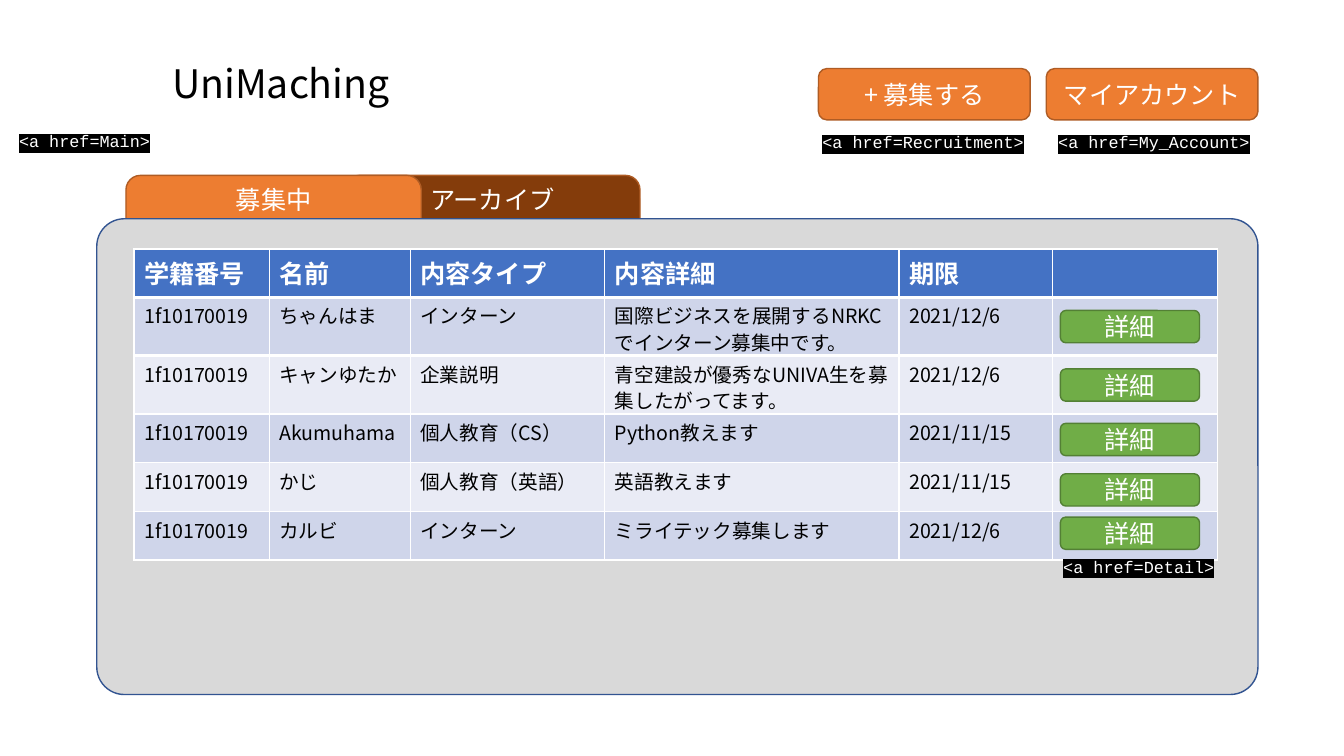
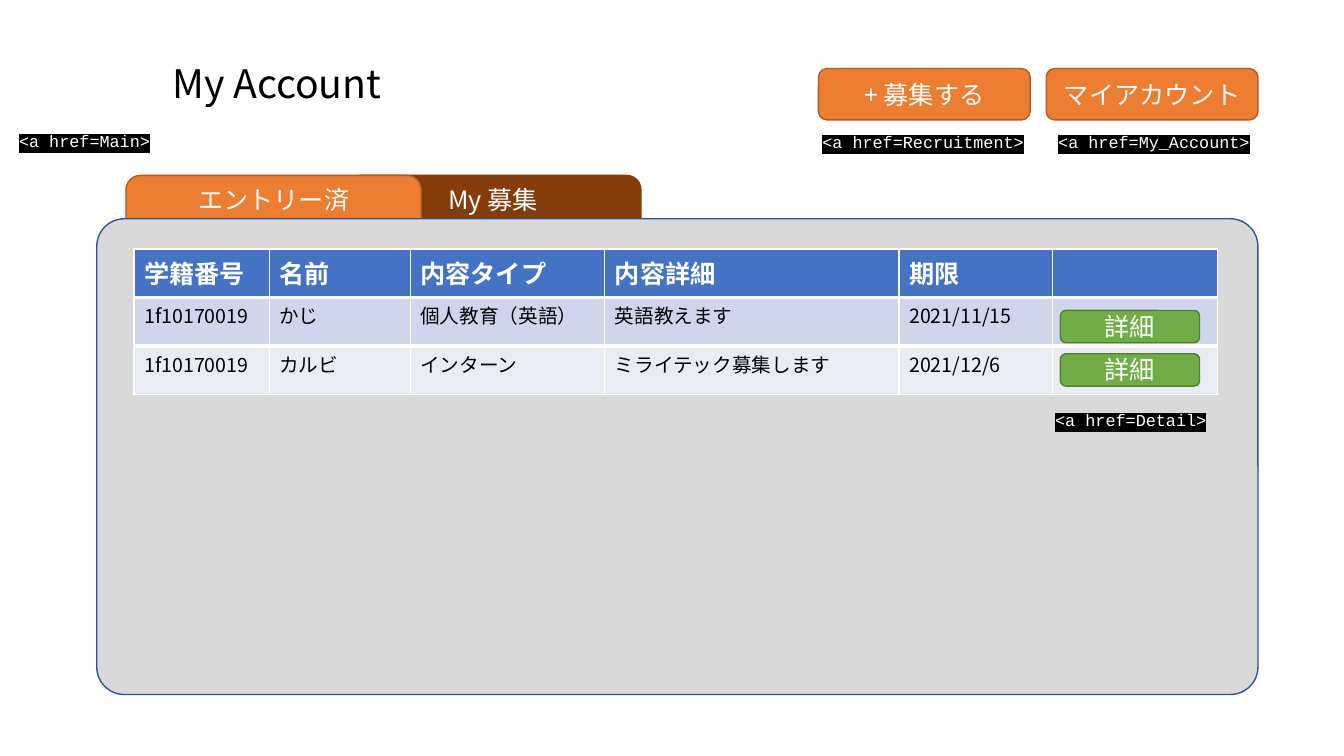
from lxml import etree
from pptx import Presentation
from pptx.dml.color import RGBColor
from pptx.enum.shapes import MSO_SHAPE
from pptx.enum.text import MSO_ANCHOR, MSO_AUTO_SIZE, PP_ALIGN
from pptx.oxml.ns import qn
from pptx.util import Pt

ROUNDED = MSO_SHAPE.ROUNDED_RECTANGLE
TOP, MIDDLE = MSO_ANCHOR.TOP, MSO_ANCHOR.MIDDLE
LEFT, CENTER = PP_ALIGN.LEFT, PP_ALIGN.CENTER
NO_FIT = MSO_AUTO_SIZE.NONE

COLORS = {
    "white": "FFFFFF", "black": "000000",
    "orange": "ED7D31", "orange_edge": "AF5C24", "brown": "843C0B",
    "green": "70AD47", "green_edge": "538035",
    "panel": "D9D9D9", "panel_edge": "325491",
    "header": "4472C4", "odd_row": "CFD5EA", "even_row": "E9EBF5",
}
SANS, MONO = "Noto Sans CJK JP", "Courier New"

STUDENT_ID = "1f10170019"
HEADERS = ["学籍番号", "名前", "内容タイプ", "内容詳細", "期限", ""]
COLUMN_WIDTHS = [96.48, 100.8, 138.96, 210.24, 109.44, 118.08]
HEADER_HEIGHT, ROW_HEIGHT = 34.56, 34.8

KAJI = ["かじ", "個人教育（英語）", "英語教えます", "2021/11/15"]
KARUBI = ["カルビ", "インターン", "ミライテック募集します", "2021/12/6"]
NAV_BUTTONS = [("+ 募集する", 584.64), ("マイアカウント", 747.36)]
NAV_LINKS = [("Main", 6.48, 90, 109.44), ("Recruitment", 580.32, 90.72, 161.28),
             ("My_Account", 748.8, 90.72, 153.36)]

PAGES = [
    {
        "title": "UniMaching",
        "front_tab": "募集中",
        "back_tab": ("アーカイブ", 246.24, "orange_edge"),
        "records": [
            ["ちゃんはま", "インターン",
             "国際ビジネスを展開するNRKCでインターン募集中です。", "2021/12/6"],
            ["キャンゆたか", "企業説明",
             "青空建設が優秀なUNIVA生を募集したがってます。", "2021/12/6"],
            ["Akumuhama", "個人教育（CS）", "Python教えます", "2021/11/15"],
            KAJI,
            KARUBI,
        ],
        "row_heights": [41.04, 41.76] + [ROW_HEIGHT] * 3,
        "button_tops": [221.76, 263.52, 302.4, 338.4, 369.36],
        "detail_link": (752.4, 393.84),
    },
    {
        "title": "My Account",
        "front_tab": "エントリー済",
        "back_tab": ("My 募集", 246.96, "brown"),
        "records": [KAJI, KARUBI],
        "row_heights": [ROW_HEIGHT] * 2,
        "button_tops": [221.76, 252.72],
        "detail_link": (746.64, 289.44),
    },
]


def rgb(name):
    return RGBColor.from_string(COLORS[name])


def write(frame, text, size, color="white", font=SANS, align=LEFT, bold=False):
    frame.text = text
    para = frame.paragraphs[0]
    para.alignment = align
    para.font.size = Pt(size)
    para.font.bold = bold
    para.font.color.rgb = rgb(color)
    para.font.name = font
    latin = para._p.pPr.find(qn("a:defRPr")).find(qn("a:latin"))
    east_asian = etree.Element(qn("a:ea"), typeface=font)
    latin.addnext(east_asian)
    return para


def add_rounded(page, left, top, width, height, fill, edge, text="", anchor=MIDDLE):
    box = page.shapes.add_shape(ROUNDED, Pt(left), Pt(top), Pt(width), Pt(height))
    box.shadow.inherit = False
    box.fill.solid()
    box.fill.fore_color.rgb = rgb(fill)
    box.line.color.rgb = rgb(edge)
    box.line.width = Pt(1)
    if text:
        box.text_frame.vertical_anchor = anchor
        write(box.text_frame, text, 18, align=CENTER)
    return box


def add_link(page, target, left, top, width):
    box = page.shapes.add_textbox(Pt(left), Pt(top), Pt(width), Pt(21.6))
    box.text_frame.word_wrap = False
    para = write(box.text_frame, f"<a href={target}>", 12, font=MONO)
    properties = para.runs[0]._r.get_or_add_rPr()
    highlight = etree.SubElement(properties, qn("a:highlight"))
    etree.SubElement(highlight, qn("a:srgbClr"), val=COLORS["black"])


def add_title(page, text):
    title = page.shapes.title
    title.left, title.top, title.width, title.height = Pt(115.92), Pt(38.88), Pt(240), Pt(41.04)
    frame = title.text_frame
    frame.word_wrap = True
    frame.auto_size = NO_FIT
    frame.vertical_anchor = MIDDLE
    write(frame, text, 28, "black")


def add_border(cell, side, width):
    line = etree.Element(qn(f"a:{side}"), w=str(Pt(width)))
    fill = etree.SubElement(line, qn("a:solidFill"))
    etree.SubElement(fill, qn("a:srgbClr"), val=COLORS["white"])
    cell._tc.get_or_add_tcPr().insert(0, line)


def add_records(page, records, row_heights):
    rows = [HEADERS] + [[STUDENT_ID, *record, ""] for record in records]
    heights = [HEADER_HEIGHT] + row_heights
    table = page.shapes.add_table(
        len(rows), len(HEADERS), Pt(95.76), Pt(177.84),
        Pt(sum(COLUMN_WIDTHS)), Pt(sum(heights))).table
    for column, width in zip(table.columns, COLUMN_WIDTHS):
        column.width = Pt(width)
    for number, (texts, height) in enumerate(zip(rows, heights)):
        table.rows[number].height = Pt(height)
        is_header = number == 0
        fill = "header" if is_header else "odd_row" if number % 2 else "even_row"
        for column, text in enumerate(texts):
            cell = table.cell(number, column)
            cell.fill.solid()
            cell.fill.fore_color.rgb = rgb(fill)
            if is_header:
                write(cell.text_frame, text, 18, bold=True)
                add_border(cell, "lnB", 3)
            else:
                cell.margin_top, cell.margin_bottom = Pt(4), Pt(0)
                para = write(cell.text_frame, text, 14, "black")
                para.line_spacing = 0.92
            if number == 1:
                add_border(cell, "lnT", 3)


def build_page(deck, content):
    page = deck.slides.add_slide(deck.slide_layouts[5])
    add_title(page, content["title"])
    back_text, back_left, back_edge = content["back_tab"]
    tabs = [(back_text, back_left, "brown", back_edge),
            (content["front_tab"], 90, "orange", "orange_edge")]
    for text, left, fill, edge in tabs:
        add_rounded(page, left, 125.28, 210.96, 61.92, fill, edge, text, TOP)
    panel = add_rounded(page, 69.12, 156.24, 829.44, 339.84, "panel", "panel_edge")
    panel.adjustments[0] = 0.058
    for text, left in NAV_BUTTONS:
        add_rounded(page, left, 48.96, 151.2, 36.72, "orange", "orange_edge", text)
    add_records(page, content["records"], content["row_heights"])
    for top in content["button_tops"]:
        add_rounded(page, 757.44, top, 99.36, 23.04, "green", "green_edge", "詳細")
    for link in NAV_LINKS + [("Detail", *content["detail_link"], 124.56)]:
        add_link(page, *link)


deck = Presentation()
deck.slide_width, deck.slide_height = Pt(960), Pt(540)
for content in PAGES:
    build_page(deck, content)
deck.save("out.pptx")
